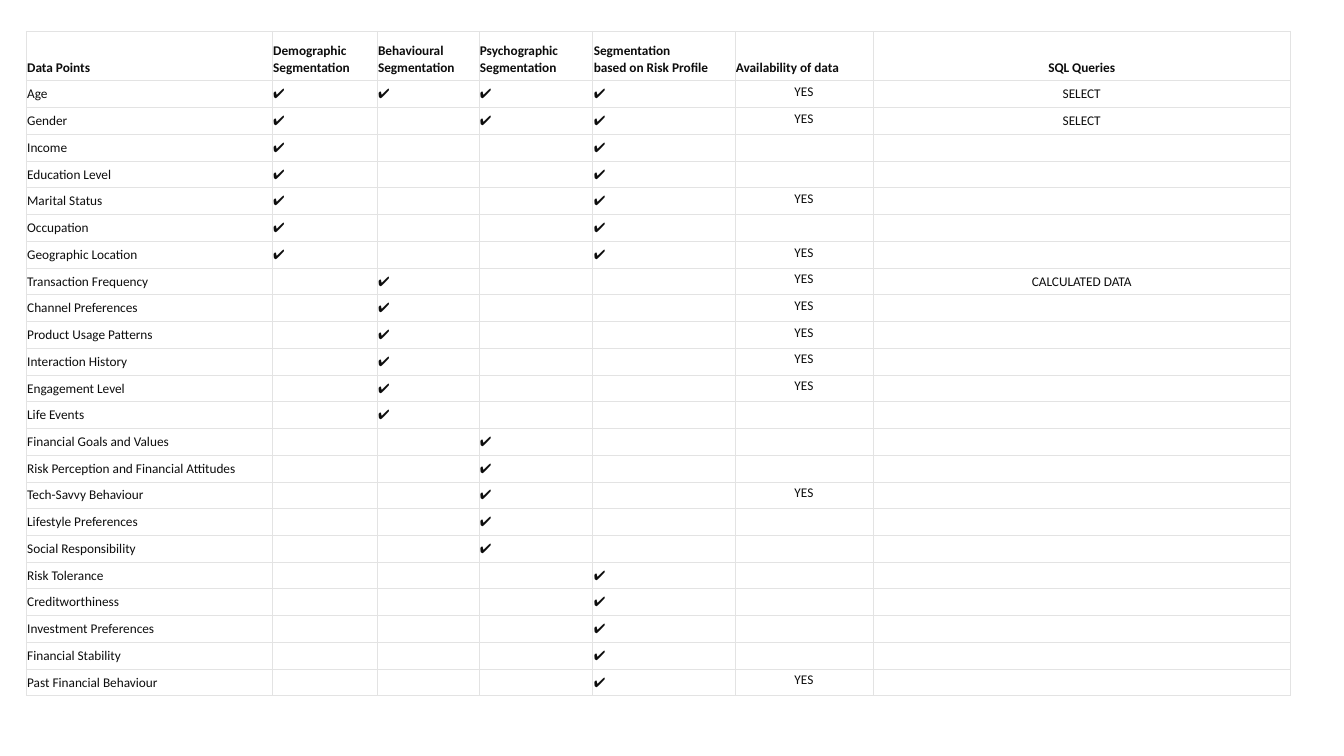
from dataclasses import dataclass

from lxml.etree import SubElement as Sub
from pptx import Presentation
from pptx.dml.color import RGBColor as Rgb
from pptx.enum.text import MSO_ANCHOR as Anchor, PP_ALIGN as Align
from pptx.oxml.ns import qn
from pptx.table import Table, _Cell as Cell
from pptx.util import Emu, Pt


@dataclass(frozen=True)
class Theme:
    face: str = "Calibri"
    size: float = 9.5
    ink: str = "0D0D0D"
    paper: str = "FFFFFF"
    rule: str = "E3E3E3"
    line: float = 0.5


@dataclass(frozen=True)
class Column:
    title: str
    width: int
    key: str = ""
    head: Align = Align.LEFT
    body: Align = Align.LEFT
    anchor: Anchor = Anchor.BOTTOM


@dataclass(frozen=True)
class Point:
    name: str
    marks: str
    ready: bool = False
    query: str = ""


THEME = Theme()
SCALE = 9144
LEFT, TOP, HEAD, BODY = 26, 31, 49, 611
SIDE, FOOT = 1, 5
CHECK = "✔️"

COLUMNS = [
    Column("Data Points", 244),
    Column("Demographic\vSegmentation", 104, "D"),
    Column("Behavioural\vSegmentation", 101, "B"),
    Column("Psychographic\vSegmentation", 113, "P"),
    Column("Segmentation\vbased on Risk Profile", 141, "R"),
    Column("Availability of data", 137, body=Align.CENTER, anchor=Anchor.MIDDLE),
    Column("SQL Queries", 414, head=Align.CENTER, body=Align.CENTER),
]

POINTS = [
    Point("Age", "DBPR", True, "SELECT"),
    Point("Gender", "DPR", True, "SELECT"),
    Point("Income", "DR"),
    Point("Education Level", "DR"),
    Point("Marital Status", "DR", True),
    Point("Occupation", "DR"),
    Point("Geographic Location", "DR", True),
    Point("Transaction Frequency", "B", True, "CALCULATED DATA"),
    Point("Channel Preferences", "B", True),
    Point("Product Usage Patterns", "B", True),
    Point("Interaction History", "B", True),
    Point("Engagement Level", "B", True),
    Point("Life Events", "B"),
    Point("Financial Goals and Values", "P"),
    Point("Risk Perception and Financial Attitudes", "P"),
    Point("Tech-Savvy Behaviour", "P", True),
    Point("Lifestyle Preferences", "P"),
    Point("Social Responsibility", "P"),
    Point("Risk Tolerance", "R"),
    Point("Creditworthiness", "R"),
    Point("Investment Preferences", "R"),
    Point("Financial Stability", "R"),
    Point("Past Financial Behaviour", "R", True),
]


def px(count: int) -> Emu:
    return Emu(count * SCALE)


def border(cell: Cell) -> None:
    props = cell._tc.get_or_add_tcPr()
    for side in ("lnL", "lnR", "lnT", "lnB"):
        edge = Sub(props, qn(f"a:{side}"), w=str(Pt(THEME.line)))
        Sub(Sub(edge, qn("a:solidFill")), qn("a:srgbClr"), val=THEME.rule)


def write(cell: Cell, text: str, align: Align, anchor: Anchor, bold: bool) -> None:
    border(cell)
    cell.fill.solid()
    cell.fill.fore_color.rgb = Rgb.from_string(THEME.paper)
    cell.margin_left = cell.margin_right = cell.margin_top = px(SIDE)
    cell.margin_bottom = px(FOOT)
    cell.vertical_anchor = anchor
    para = cell.text_frame.paragraphs[0]
    para.text = text
    para.alignment = align
    font = para.font
    font.name, font.size, font.bold = THEME.face, Pt(THEME.size), bold
    font.color.rgb = Rgb.from_string(THEME.ink)
    if not text:
        Sub(para._p, qn("a:endParaRPr"), sz=str(int(THEME.size * 100)))


def values(point: Point) -> list[str]:
    marks = [CHECK if col.key in point.marks else "" for col in COLUMNS if col.key]
    return [point.name, *marks, "YES" if point.ready else "", point.query]


def fill(table: Table) -> None:
    for spot, col in enumerate(COLUMNS):
        table.columns[spot].width = px(col.width)
        write(table.cell(0, spot), col.title, col.head, Anchor.BOTTOM, True)
    table.rows[0].height = px(HEAD)
    for row, point in enumerate(POINTS, 1):
        table.rows[row].height = Emu(px(BODY) // len(POINTS))
        for spot, (col, text) in enumerate(zip(COLUMNS, values(point))):
            write(table.cell(row, spot), text, col.body, col.anchor, False)


def main() -> None:
    deck = Presentation()
    deck.slide_width, deck.slide_height = px(1333), px(750)
    slide = deck.slides.add_slide(deck.slide_layouts[6])
    width = sum(col.width for col in COLUMNS)
    frame = slide.shapes.add_table(
        len(POINTS) + 1, len(COLUMNS), px(LEFT), px(TOP), px(width), px(HEAD + BODY)
    )
    table = frame.table
    table.first_row = table.horz_banding = False
    fill(table)
    deck.save("out.pptx")


if __name__ == "__main__":
    main()
